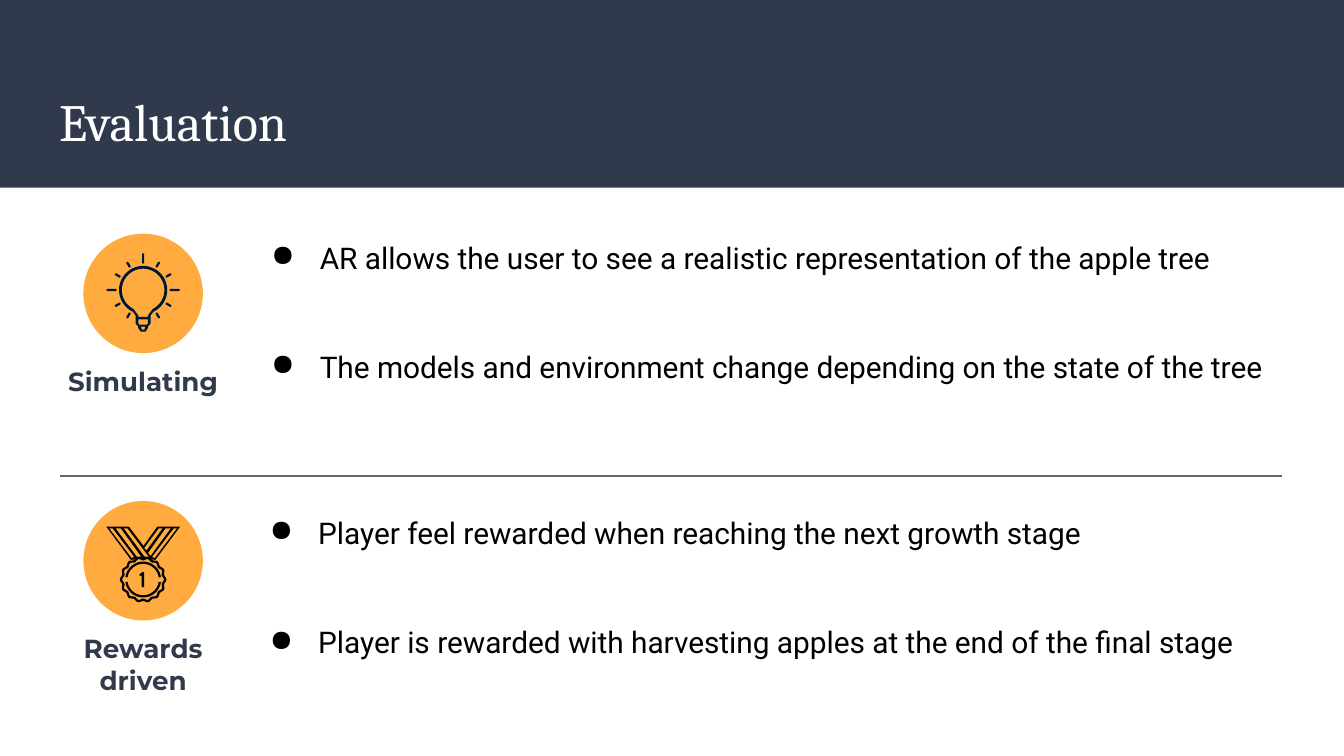
from math import cos, pi, radians, sin

from lxml import etree
from pptx import Presentation
from pptx.dml.color import RGBColor
from pptx.enum.shapes import MSO_CONNECTOR as Connector, MSO_SHAPE as Shape
from pptx.enum.text import MSO_ANCHOR as Anchor, PP_ALIGN as Align
from pptx.oxml.ns import qn
from pptx.util import Pt

NAVY = RGBColor(0x31, 0x39, 0x4D)
AMBER = RGBColor(0xFF, 0xAB, 0x40)
INK = RGBColor(0x00, 0x16, 0x33)
BLACK = RGBColor(0, 0, 0)
WHITE = RGBColor(0xFF, 0xFF, 0xFF)
GRAY = RGBColor(0x66, 0x66, 0x66)

PAGE_WIDTH, PAGE_HEIGHT = 720, 405
BADGE_SIZE = 64


def paint(shape, color):
    shape.shadow.inherit = False
    shape.fill.solid()
    shape.fill.fore_color.rgb = color
    shape.line.fill.background()


def add_span(para, text, font, size, color, bold=False):
    span = para.add_run()
    span.text = text
    span.font.name = font
    span.font.size = Pt(size)
    span.font.color.rgb = color
    span.font.bold = bold


def set_frame(frame, anchor=Anchor.TOP):
    frame.word_wrap = True
    frame.vertical_anchor = anchor
    frame.margin_left = frame.margin_right = Pt(7.2)
    frame.margin_top = frame.margin_bottom = Pt(7.2)


def add_frame(page, box):
    frame = page.shapes.add_textbox(*map(Pt, box)).text_frame
    set_frame(frame)
    return frame


def add_bullet(para, color):
    props = para._p.get_or_add_pPr()
    props.set("marL", str(Pt(36)))
    props.set("indent", str(-Pt(26)))
    tint = etree.SubElement(props, qn("a:buClr"))
    etree.SubElement(tint, qn("a:srgbClr"), val=str(color))
    etree.SubElement(props, qn("a:buChar"), char="●")


def arc(radius, start, end, ripple=0, lobes=0, step=4):
    points = []
    for degrees in range(start, end + 1, step):
        angle = radians(degrees)
        reach = radius + ripple * cos(lobes * angle)
        points.append((reach * cos(angle), reach * sin(angle)))
    return points


def mirrored(right_side):
    return right_side + [(-x, y) for x, y in reversed(right_side)]


def capsule(angle, distance, length, width):
    half, radius = (length - width) / 2, width / 2
    ends = [(x + half, y) for x, y in arc(radius, -90, 90, step=30)]
    ends += [(x - half, y) for x, y in arc(radius, 90, 270, step=30)]
    return [((x + distance) * cos(angle) - y * sin(angle),
             (x + distance) * sin(angle) + y * cos(angle)) for x, y in ends]


def add_outline(group, center, color, contours):
    def place(point):
        return Pt(center[0] + point[0]), Pt(center[1] + point[1])

    builder = None
    for contour in contours:
        start, *rest = map(place, contour)
        if builder is None:
            builder = group.shapes.build_freeform(*start, scale=1.0)
        else:
            builder.move_to(*start)
        builder.add_line_segments(rest, close=True)
    paint(builder.convert_to_shape(), color)


def draw_bulb(group, x, y):
    center = x, y - 1.8
    neck = [(4, 13.7), (4, 18), (2.7, 19.4), (2.6, 20.3), (1.3, 22.3)]
    throat = [(2.5, 13.7), (2.5, 14.4)]
    add_outline(group, center, INK, [
        arc(12.9, 115, 425, step=5) + mirrored(neck),
        arc(11.4, 117, 423, step=6) + mirrored(throat),
        mirrored([(2.5, 15.8), (2.5, 18), (2, 18.6)]),
        mirrored([(1.2, 19.6), (0.7, 21.2)]),
    ])
    for turn in range(12):
        if turn == 3:
            continue
        distance, length = (16.9, 5.5) if turn % 3 == 0 else (15.7, 3.4)
        add_outline(group, center, INK,
                    [capsule(turn * pi / 6, distance, length, 1.2)])


def draw_medal(group, x, y):
    center = x, y + 10.1
    top = -27.4
    straps = [(-19.8, -28.4), (-7.6, -28.4), (0.2, -18), (7.6, -28.4),
              (19.8, -28.4), (6.5, -10.5), (0, -11.5), (-6.5, -10.5)]
    gaps = [
        [(10.4, top), (1.8, -15.5), (0.5, -16.9), (8.3, top)],
        [(14.8, top), (4, -12.6), (2.6, -14.2), (11.9, top)],
        [(18.2, top), (6.1, -11.4), (4.8, -12.2), (16.3, top)],
        [(-8.3, top), (3.2, -12), (0.6, -12.4), (-10.4, top)],
        [(-11.9, top), (-1.1, -12.4), (-3.2, -12), (-14.8, top)],
        [(-16.3, top), (-4.8, -12.2), (-6.1, -11.4), (-18.2, top)],
    ]
    add_outline(group, center, BLACK, [straps] + gaps)
    add_outline(group, center, BLACK, [
        arc(radius, 0, 356, ripple=0.5, lobes=14) for radius in (12, 10.7)])
    for start in (8, 188):
        end = start + 164
        add_outline(group, center, BLACK,
                    [arc(9.6, start, end) + arc(8.4, start, end)[::-1]])
    add_outline(group, center, BLACK, [[
        (0.5, -4), (0.5, 4), (-0.8, 4), (-0.8, -2.3),
        (-1.5, -1.8), (-2, -2.8), (-0.4, -4)]])


def add_header(page, box, text):
    title = page.shapes.title
    band = page.shapes.add_shape(Shape.RECTANGLE, *map(Pt, box))
    paint(band, NAVY)
    title._element.addprevious(band._element)
    left, top, width, _ = box
    title.left, title.top = Pt(left + 24.5), Pt(top + 39.6)
    title.width, title.height = Pt(width - 49), Pt(49)
    set_frame(title.text_frame, Anchor.BOTTOM)
    para = title.text_frame.paragraphs[0]
    para.alignment = Align.LEFT
    para.line_spacing = 1.0
    add_span(para, text, "Cambria", 28, WHITE)


def add_badge(page, box, label, draw_icon):
    left, top, width, height = box
    middle = left + width / 2
    disc = page.shapes.add_shape(
        Shape.OVAL, Pt(middle - BADGE_SIZE / 2), Pt(top),
        Pt(BADGE_SIZE), Pt(BADGE_SIZE))
    paint(disc, AMBER)
    draw_icon(page.shapes.add_group_shape(), middle, top + BADGE_SIZE / 2)
    label_top = BADGE_SIZE - 0.6
    frame = add_frame(
        page, (left, top + label_top, width, height - label_top))
    para = frame.paragraphs[0]
    para.alignment = Align.CENTER
    add_span(para, label, "Montserrat", 14, NAVY, bold=True)


def add_points(page, box, points):
    frame = add_frame(page, box)
    for index, text in enumerate(points):
        para = frame.add_paragraph() if index else frame.paragraphs[0]
        add_bullet(para, BLACK)
        if index:
            para.space_before = Pt(39.6)
        add_span(para, text, "Roboto", 16, BLACK)


def add_divider(page, left, right, top):
    line = page.shapes.add_connector(
        Connector.STRAIGHT, Pt(left), Pt(top), Pt(right), Pt(top))
    line.line.color.rgb = GRAY
    line.line.width = Pt(0.75)
    etree.SubElement(line._element.spPr, qn("a:effectLst"))


def main():
    deck = Presentation()
    deck.slide_width, deck.slide_height = Pt(PAGE_WIDTH), Pt(PAGE_HEIGHT)
    page = deck.slides.add_slide(deck.slide_layouts[5])
    add_header(page, (0, 0, PAGE_WIDTH, 100.6), "Evaluation")
    add_badge(page, (24.5, 125.2, 104.4, 99.4), "Simulating", draw_bulb)
    add_points(page, (128.2, 121, 567.4, 115.2), [
        "AR allows the user to see a realistic representation of the apple tree",
        "The models and environment change depending on the state of the tree"])
    add_divider(page, 32.4, 686.9, 255)
    add_badge(page, (24.5, 268.4, 104.4, 95.8), "Rewards driven", draw_medal)
    add_points(page, (127.4, 268.4, 568.8, 108), [
        "Player feel rewarded when reaching the next growth stage",
        "Player is rewarded with harvesting apples at the end of the final stage"])
    deck.save("out.pptx")


if __name__ == "__main__":
    main()
